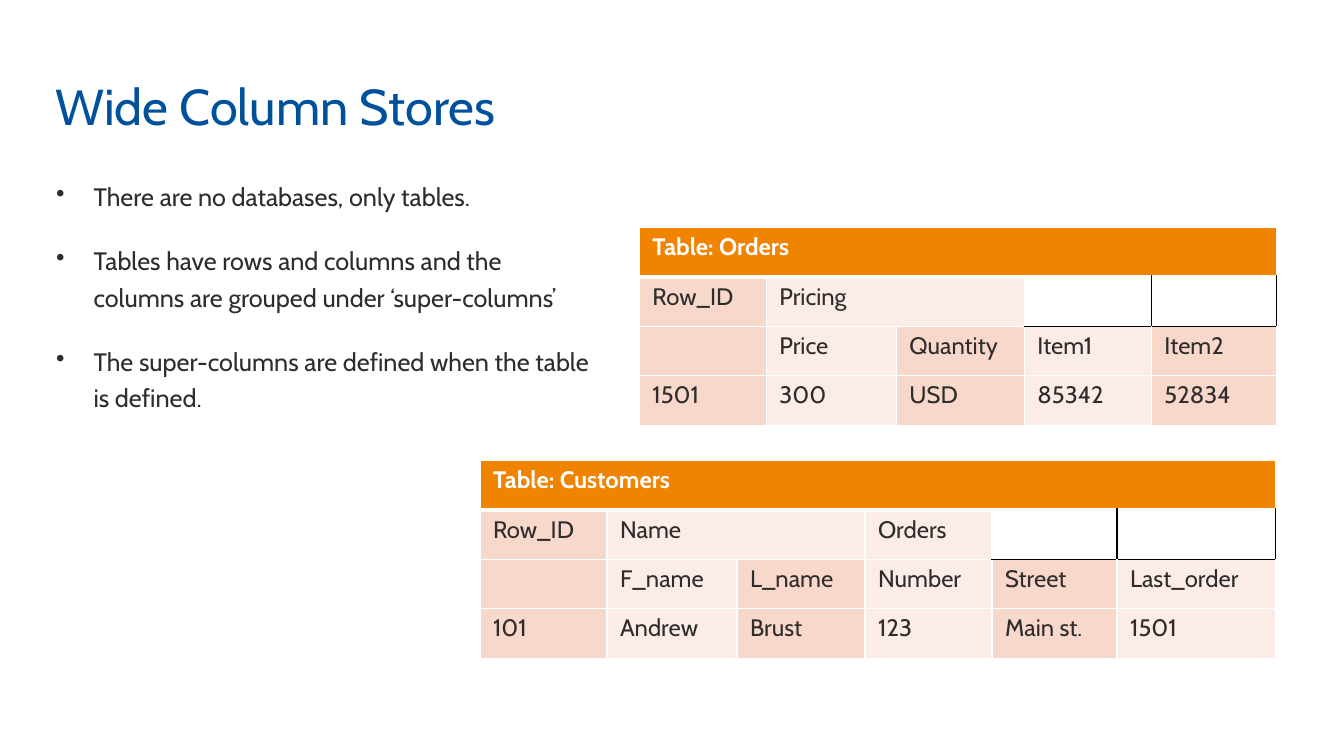
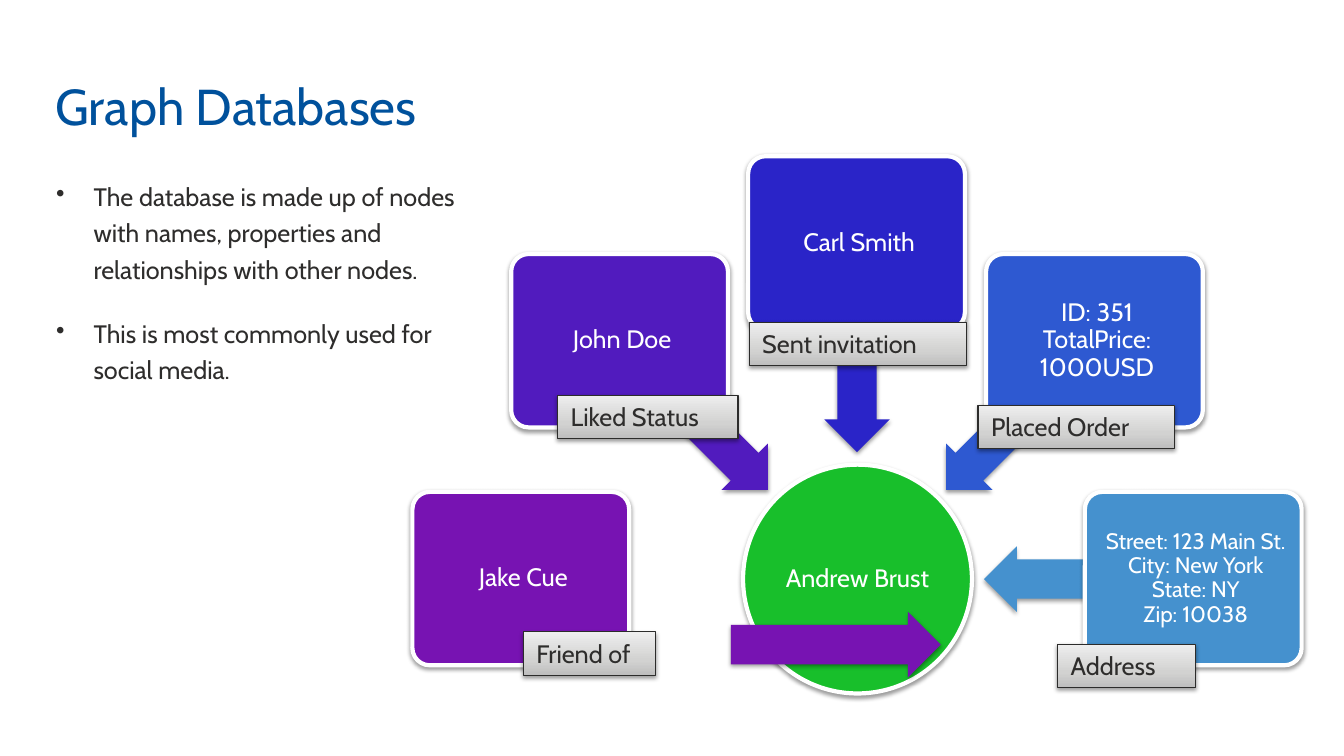
"""Build two slides on wide column stores and graph databases."""
from copy import deepcopy

from lxml.etree import SubElement
from pptx import Presentation
from pptx.dml.color import RGBColor
from pptx.enum.shapes import MSO_SHAPE as Shape
from pptx.enum.text import MSO_ANCHOR as Anchor, MSO_AUTO_SIZE as AutoSize, PP_ALIGN as Align
from pptx.oxml.ns import qn
from pptx.util import Inches, Pt

FONT = "Cabin"
BLUE = RGBColor(0x00, 0x51, 0x9C)
INK = RGBColor(0x2E, 0x2D, 0x2C)
OUTLINE = RGBColor(0x2C, 0x2C, 0x2B)
WHITE = RGBColor(0xFF, 0xFF, 0xFF)
BLACK = RGBColor(0x00, 0x00, 0x00)
ORANGE = RGBColor(0xF0, 0x83, 0x00)
PEACH = RGBColor(0xF9, 0xD8, 0xCC)
PALE_PEACH = RGBColor(0xFC, 0xEC, 0xE7)
GREEN = RGBColor(0x18, 0xBF, 0x2B)
PURPLE = RGBColor(0x77, 0x13, 0xB2)
VIOLET = RGBColor(0x51, 0x1B, 0xBE)
INDIGO = RGBColor(0x2A, 0x24, 0xC8)
ROYAL = RGBColor(0x2E, 0x59, 0xD1)
SKY = RGBColor(0x45, 0x91, 0xCE)
GREYS = [
    (0, RGBColor(0xBE, 0xBE, 0xBE)),
    (0.35, RGBColor(0xD2, 0xD2, 0xD1)),
    (1, RGBColor(0xEE, 0xEE, 0xEE)),
]


def write(frame, *lines, size=18, color=INK, bold=False, align=Align.LEFT, anchor=None,
          insets=None, spacing=None, before=0, after=None, bullet=None):
    """Fill a text frame with one formatted paragraph per line."""
    frame.word_wrap = True
    if anchor is not None:
        frame.vertical_anchor = anchor
    if insets:
        left, top, right, bottom = insets
        frame.margin_left, frame.margin_top = Inches(left), Inches(top)
        frame.margin_right, frame.margin_bottom = Inches(right), Inches(bottom)
    for number, line in enumerate(lines):
        para = frame.add_paragraph() if number else frame.paragraphs[0]
        para.text = line
        para.alignment = align
        if spacing:
            para.line_spacing = spacing
        if number and before:
            para.space_before = Pt(before)
        if after is not None:
            para.space_after = Pt(after)
        if bullet:
            properties = para._p.get_or_add_pPr()
            properties.set("marL", str(Inches(0.38)))
            properties.set("indent", str(Inches(-0.37)))
            bullet_color = SubElement(properties, qn("a:buClr"))
            SubElement(bullet_color, qn("a:srgbClr"), val=str(color))
            SubElement(properties, qn("a:buChar"), char=bullet)
        for line_break in para._p.findall(qn("a:br")):
            SubElement(line_break, qn("a:rPr"), sz=str(size * 100))
        for span in para.runs:
            span.font.name = FONT
            span.font.size = Pt(size)
            span.font.bold = bold
            span.font.color.rgb = color


def add_shadowed(page, kind, left, top, width, height, fill=None, line=None, line_width=0):
    """Add a shape with a soft shadow; without a fill colour it is grey shaded."""
    shape = page.shapes.add_shape(kind, Inches(left), Inches(top), Inches(width), Inches(height))
    if fill is not None:
        shape.fill.solid()
        shape.fill.fore_color.rgb = fill
    else:
        shape.fill.gradient()
        shape.fill.gradient_angle = 90
        stops = shape._element.spPr.find(".//" + qn("a:gsLst"))
        stops.append(deepcopy(stops[0]))
        for stop, (position, grey) in zip(shape.fill.gradient_stops, GREYS):
            stop.position = position
            stop.color.rgb = grey
    if line is not None:
        shape.line.color.rgb = line
        shape.line.width = Pt(line_width)
    else:
        shape.line.fill.background()
    shape.shadow.inherit = False
    effects = shape._element.spPr.find(qn("a:effectLst"))
    shadow = SubElement(effects, qn("a:outerShdw"), blurRad=str(Pt(3.1)), dist=str(Pt(1.6)),
                        dir="5400000", rotWithShape="0")
    shadow_color = SubElement(shadow, qn("a:srgbClr"), val=str(BLACK))
    SubElement(shadow_color, qn("a:alpha"), val="38000")
    return shape


deck = Presentation()
deck.slide_width, deck.slide_height = Inches(13.33), Inches(7.5)

topics = [
    ("Wide Column Stores", 5.57, 2.5, [
        "There are no databases, only tables.",
        "Tables have rows and columns and the columns are grouped under ‘super-columns’",
        "The super-columns are defined when the table is defined.",
    ]),
    ("Graph Databases", 4.43, 4.97, [
        "The database is made up of nodes with names, properties and relationships "
        "with other nodes.",
        "This is most commonly used for social media.",
    ]),
]
pages = []
for heading, width, height, points in topics:
    page = deck.slides.add_slide(deck.slide_layouts[5])
    title = page.shapes.title
    title.left, title.top = Inches(0.45), Inches(0.14)
    title.width, title.height = Inches(9.98), Inches(1.26)
    title.text_frame.auto_size = AutoSize.NONE
    write(title.text_frame, heading, size=36, color=BLUE, anchor=Anchor.BOTTOM)
    box = page.shapes.add_textbox(Inches(0.45), Inches(1.69), Inches(width), Inches(height))
    write(box.text_frame, *points, spacing=1.2, before=10, after=10, bullet="•")
    pages.append(page)
tables_page, graph_page = pages

column_widths = [1.26, 1.29, 1.27, 1.26, 1.24, 1.57]
row_height = 0.49
tables = [
    (4.76, 4.57, [
        ["Table: Customers", "", "", "", "", ""],
        ["Row_ID", "Name", "", "Orders", "", ""],
        ["", "F_name", "L_name", "Number", "Street", "Last_order"],
        ["101", "Andrew", "Brust", "123", "Main st.", "1501"],
    ]),
    (6.34, 2.26, [
        ["Table: Orders", "", "", "", ""],
        ["Row_ID", "Pricing", "", "", ""],
        ["", "Price", "Quantity", "Item1", "Item2"],
        ["1501", "300", "USD", "85342", "52834"],
    ]),
]
for left, top, rows in tables:
    count = len(rows[0])
    widths = column_widths[:count]
    table = tables_page.shapes.add_table(
        len(rows), count, Inches(left), Inches(top),
        Inches(sum(widths)), Inches(row_height * len(rows))).table
    for column, width in zip(table.columns, widths):
        column.width = Inches(width)
    for row in table.rows:
        row.height = Inches(row_height)
    table.cell(0, 0).merge(table.cell(0, count - 1))
    table.cell(1, 1).merge(table.cell(1, 2))
    for r, texts in enumerate(rows):
        for c, text in enumerate(texts):
            cell = table.cell(r, c)
            cell.margin_left = cell.margin_right = Inches(0.13)
            cell.margin_top = cell.margin_bottom = Inches(0.05)
            in_last_two = c >= count - 2
            blank = r == 1 and in_last_two
            if blank:
                cell.fill.background()
            else:
                cell.fill.solid()
                cell.fill.fore_color.rgb = ORANGE if r == 0 else (PEACH, PALE_PEACH)[c % 2]
            if text:
                write(cell.text_frame, text, size=17, color=INK if r else WHITE, bold=r == 0)
            black_edges = {
                "L": blank and c == count - 1,
                "R": blank,
                "T": r == 2 and in_last_two,
                "B": blank,
            }
            for order, (edge, is_black) in enumerate(black_edges.items()):
                thick = (r, edge) in [(0, "B"), (1, "T")]
                properties = cell._tc.get_or_add_tcPr()
                border = SubElement(properties, qn("a:ln" + edge), w=str(Pt(3 if thick else 0.96)))
                border_fill = SubElement(border, qn("a:solidFill"))
                SubElement(border_fill, qn("a:srgbClr"), val=str(BLACK if is_black else WHITE))
                properties.insert(order, border)

hub = add_shadowed(graph_page, Shape.OVAL, 7.37, 4.61, 2.27, 2.27, GREEN, WHITE, 3)
write(hub.text_frame, "Andrew Brust", color=WHITE, align=Align.CENTER, anchor=Anchor.MIDDLE,
      insets=[0.01] * 4, spacing=0.9, after=6.3)

nodes = [
    ("Jake Cue", PURPLE, 4.09, 4.88, 7.25, 6.07, 180, 18),
    ("John Doe", VIOLET, 5.07, 2.52, 5.84, 3.8, 225, 18),
    ("Carl Smith", INDIGO, 7.42, 1.55, 7.46, 3.12, 270, 18),
    ("ID: 351\nTotalPrice: 1000USD", ROYAL, 9.78, 2.52, 9.08, 3.8, 315, 18),
    ("Street: 123 Main St.\nCity: New York\nState: NY\nZip: 10038",
     SKY, 10.76, 4.88, 9.76, 5.42, 0, 16),
]
for text, color, left, top, arrow_left, arrow_top, angle, size in nodes:
    arrow = add_shadowed(graph_page, Shape.LEFT_ARROW, arrow_left, arrow_top, 2.08, 0.65, color)
    arrow.adjustments[0], arrow.adjustments[1] = 0.6, 0.5
    arrow.rotation = angle
    node = add_shadowed(graph_page, Shape.ROUNDED_RECTANGLE, left, top, 2.15, 1.72,
                        color, WHITE, 3)
    node.adjustments[0] = 0.1
    write(node.text_frame, text, size=size, color=WHITE, align=Align.CENTER,
          anchor=Anchor.MIDDLE, insets=[0.09, 0.09, 0.04, 0.09], spacing=0.9,
          after=size * 0.35)

relations = [
    ("Liked Status", 5.53, 3.92, 1.79),
    ("Placed Order", 9.7, 4.02, 1.95),
    ("Friend of", 5.19, 6.27, 1.31),
    ("Address", 10.49, 6.39, 1.37),
    ("Sent invitation", 7.43, 3.2, 2.16),
]
for text, left, top, width in relations:
    label = add_shadowed(graph_page, Shape.RECTANGLE, left, top, width, 0.43,
                         line=OUTLINE, line_width=0.75)
    write(label.text_frame, text, anchor=Anchor.TOP, insets=[0.13, 0.06, 0.13, 0.06])

deck.save("out.pptx")
